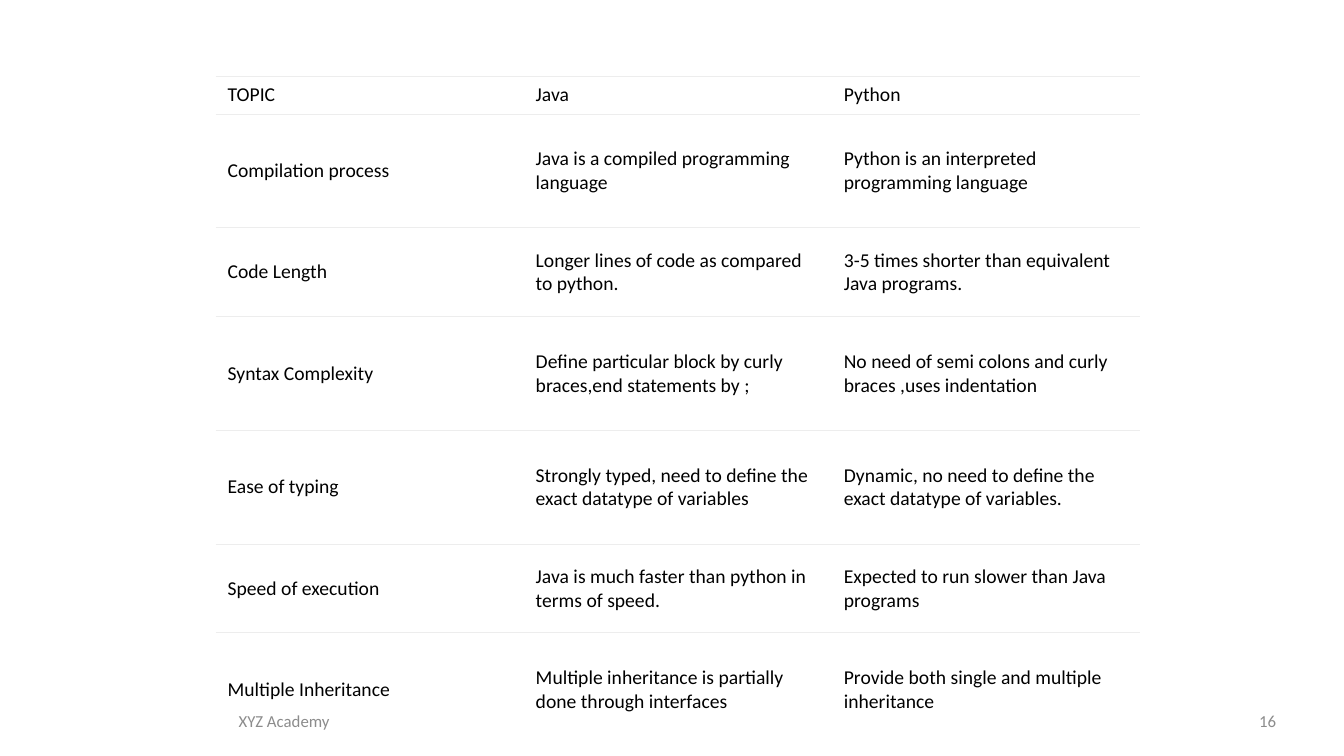
from lxml import etree
from pptx import Presentation
from pptx.dml.color import RGBColor
from pptx.enum.text import MSO_ANCHOR, PP_ALIGN
from pptx.oxml.ns import qn
from pptx.util import Pt

MIDDLE = MSO_ANCHOR.MIDDLE
LEFT, CENTER, RIGHT = PP_ALIGN.LEFT, PP_ALIGN.CENTER, PP_ALIGN.RIGHT
BLACK = RGBColor(0x00, 0x00, 0x00)
WHITE = RGBColor(0xFF, 0xFF, 0xFF)
GRAY = RGBColor(0x8C, 0x8C, 0x8C)
RULE = RGBColor(0xED, 0xED, 0xED)
FONT = "Calibri"

HEADER, TALL, SHORT = 26.88, 81.3, 63.3
COMPARISON = [
    (HEADER, "TOPIC", "Java", "Python"),
    (TALL, "Compilation process",
     "Java is a compiled programming language",
     "Python is an interpreted programming language"),
    (SHORT, "Code Length",
     "Longer lines of code as compared to python.",
     "3-5 times shorter than equivalent Java programs."),
    (TALL, "Syntax Complexity",
     "Define particular block by curly braces,end statements by ;",
     "No need of semi colons and curly braces ,uses indentation"),
    (TALL, "Ease of typing",
     "Strongly typed, need to define the exact datatype of variables",
     "Dynamic, no need to define the exact datatype of variables."),
    (SHORT, "Speed of execution",
     "Java is much faster than python in terms of speed.",
     "Expected to run slower than Java programs"),
    (TALL, "Multiple Inheritance",
     "Multiple inheritance is partially done through interfaces",
     "Provide both single and multiple inheritance"),
]
FOOTERS = [
    ("XYZ Academy", 41, 324, CENTER),
    ("16", 702.7, 216, RIGHT),
]
TABLE_LEFT, TABLE_TOP, COLUMN_WIDTH = 154.2, 54.6, 220.1
FOOTER_TOP, FOOTER_HEIGHT = 500.5, 28.75


def write(text_frame, text, size, color, alignment):
    paragraph = text_frame.paragraphs[0]
    paragraph.alignment = alignment
    run = paragraph.add_run()
    run.text = text
    run.font.name = FONT
    run.font.size = Pt(size)
    run.font.color.rgb = color


def set_borders(cell, ruled_sides):
    properties = cell._tc.get_or_add_tcPr()
    for position, side in enumerate(("lnL", "lnR", "lnT", "lnB")):
        line = etree.Element(qn("a:" + side), w=str(Pt(0.75)))
        if side in ruled_sides:
            fill = etree.SubElement(line, qn("a:solidFill"))
            etree.SubElement(fill, qn("a:srgbClr"), val=str(RULE))
        else:
            etree.SubElement(line, qn("a:noFill"))
        properties.insert(position, line)


def add_comparison(slide):
    row_count, column_count = len(COMPARISON), len(COMPARISON[0]) - 1
    table = slide.shapes.add_table(
        row_count, column_count, Pt(TABLE_LEFT), Pt(TABLE_TOP),
        Pt(COLUMN_WIDTH * column_count),
        Pt(sum(row[0] for row in COMPARISON))).table
    table.first_row = False
    table.horz_banding = False
    for column in table.columns:
        column.width = Pt(COLUMN_WIDTH)
    for row_index, (height, *texts) in enumerate(COMPARISON):
        table.rows[row_index].height = Pt(height)
        is_last = row_index == row_count - 1
        for column_index, text in enumerate(texts):
            cell = table.cell(row_index, column_index)
            cell.vertical_anchor = MIDDLE
            cell.margin_left = cell.margin_right = Pt(8.4)
            cell.margin_top = cell.margin_bottom = Pt(4.2)
            cell.fill.solid()
            cell.fill.fore_color.rgb = WHITE
            set_borders(cell, ("lnT",) if is_last else ("lnT", "lnB"))
            write(cell.text_frame, text, 14, BLACK, LEFT)


def add_footer(slide, text, left, width, alignment):
    box = slide.shapes.add_textbox(
        Pt(left), Pt(FOOTER_TOP), Pt(width), Pt(FOOTER_HEIGHT))
    box.text_frame.word_wrap = True
    box.text_frame.vertical_anchor = MIDDLE
    write(box.text_frame, text, 12, GRAY, alignment)


def main():
    presentation = Presentation()
    presentation.slide_width = Pt(960)
    presentation.slide_height = Pt(540)
    slide = presentation.slides.add_slide(presentation.slide_layouts[6])
    add_comparison(slide)
    for footer in FOOTERS:
        add_footer(slide, *footer)
    presentation.save("out.pptx")


if __name__ == "__main__":
    main()
